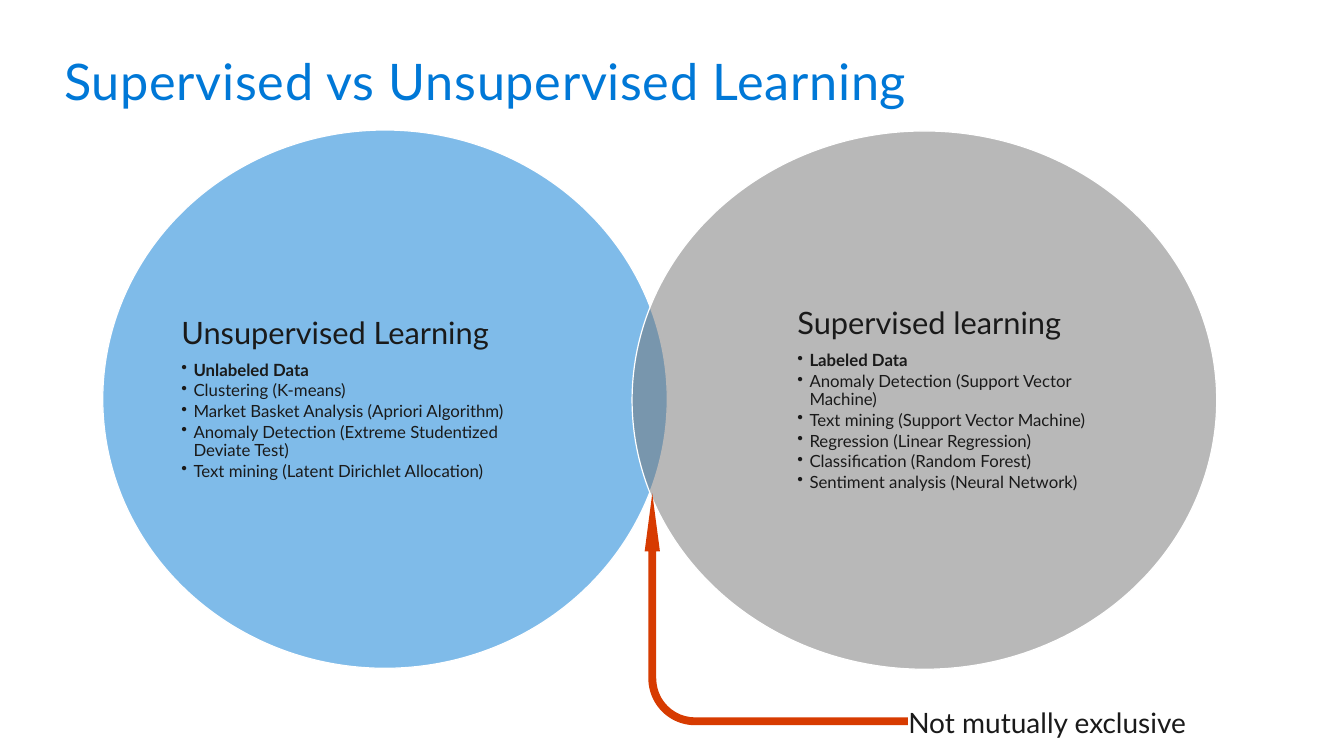
import pptx
import pptx.dml.color
import pptx.enum.shapes
import pptx.enum.text
import pptx.util
from lxml import etree
from pptx.oxml.ns import qn

COLORS = {
    "title": "0078D7",
    "unsupervised": "0078D4",
    "supervised": "737373",
    "outline": "FFFFFF",
    "arrow": "D73B01",
    "text": "1A1A1A",
}
FONT = "Lato"
SHAPES = pptx.enum.shapes.MSO_SHAPE

deck = pptx.Presentation()
deck.slide_width = pptx.util.Inches(13.33)
deck.slide_height = pptx.util.Inches(7.5)
slide = deck.slides.add_slide(deck.slide_layouts[6])


def area(left, top, width, height):
    """Turn percentages of the slide's width and height into a box."""
    across, down = deck.slide_width / 100, deck.slide_height / 100
    return int(left * across), int(top * down), int(width * across), int(height * down)


def add_text(box, lines, size, color="text"):
    """Add a text box without margins; lines after the first are 12 pt bullets."""
    frame = slide.shapes.add_textbox(*area(*box)).text_frame
    frame.word_wrap = True
    frame.margin_left = frame.margin_right = frame.margin_top = frame.margin_bottom = 0
    frame.text = "\n".join(lines)
    for number, paragraph in enumerate(frame.paragraphs):
        if number:
            indent = pptx.util.Inches(0.12)
            properties = paragraph._p.get_or_add_pPr()
            properties.set("marL", str(indent))
            properties.set("indent", str(-indent))
            etree.SubElement(properties, qn("a:buChar"), char="•")
        for run in paragraph.runs:
            run.font.name = FONT
            run.font.size = pptx.util.Pt(12 if number else size)
            run.font.bold = number == 1
            run.font.color.rgb = pptx.dml.color.RGBColor.from_string(COLORS[color])
    return frame


title = add_text((4.8, 6.67, 90.38, 8.13), ["Supervised vs Unsupervised Learning"], 36, "title")
title.paragraphs[0].runs[0].font._element.set("spc", "50")

# Each side: colour, circle (left, top, width), list (left, width), lines
sides = [
    ("unsupervised", (7.65, 17.2, 42), (13.5, 24.23), [
        "Unsupervised Learning",
        "Unlabeled Data",
        "Clustering (K-means)",
        "Market Basket Analysis (Apriori Algorithm)",
        "Anomaly Detection (Extreme Studentized Deviate Test)",
        "Text mining (Latent Dirichlet Allocation)",
    ]),
    ("supervised", (47.03, 17.33, 43.5), (59.33, 25.13), [
        "Supervised learning",
        "Labeled Data",
        "Anomaly Detection (Support Vector Machine)",
        "Text mining (Support Vector Machine)",
        "Regression (Linear Regression)",
        "Classification (Random Forest)",
        "Sentiment analysis (Neural Network)",
    ]),
]
CIRCLE_HEIGHT, LIST_HEIGHT = 71.2, 54.4

for color, (left, top, width), (list_left, list_width), lines in sides:
    circle = slide.shapes.add_shape(SHAPES.OVAL, *area(left, top, width, CIRCLE_HEIGHT))
    circle.shadow.inherit = False
    circle.fill.solid()
    circle.fill.fore_color.rgb = pptx.dml.color.RGBColor.from_string(COLORS[color])
    fill_color = circle._element.spPr.find(qn("a:solidFill")).find(qn("a:srgbClr"))
    etree.SubElement(fill_color, qn("a:alpha"), val="50000")
    circle.line.color.rgb = pptx.dml.color.RGBColor.from_string(COLORS["outline"])
    circle.line.width = pptx.util.Pt(0.85)

    list_top = top + (CIRCLE_HEIGHT - LIST_HEIGHT) / 2
    methods = add_text((list_left, list_top, list_width, LIST_HEIGHT), lines, 22)
    methods.vertical_anchor = pptx.enum.text.MSO_ANCHOR.MIDDLE
    for number, paragraph in enumerate(methods.paragraphs):
        paragraph.line_spacing = 0.9
        paragraph.space_after = pptx.util.Pt(1.8 if number else 7.7)

overlap_arrow = slide.shapes.add_shape(SHAPES.BENT_ARROW, *area(49.13, 63.2, 17.25, 34.8))
overlap_arrow.rotation = 270
for index, share in enumerate((0.034, 0.033, 0.25, 0.202)):
    overlap_arrow.adjustments[index] = share
overlap_arrow.shadow.inherit = False
overlap_arrow.fill.solid()
overlap_arrow.fill.fore_color.rgb = pptx.dml.color.RGBColor.from_string(COLORS["arrow"])
overlap_arrow.line.fill.background()

add_text((67.58, 93.33, 23.63, 4.53), ["Not mutually exclusive"], 20)

deck.save("out.pptx")
